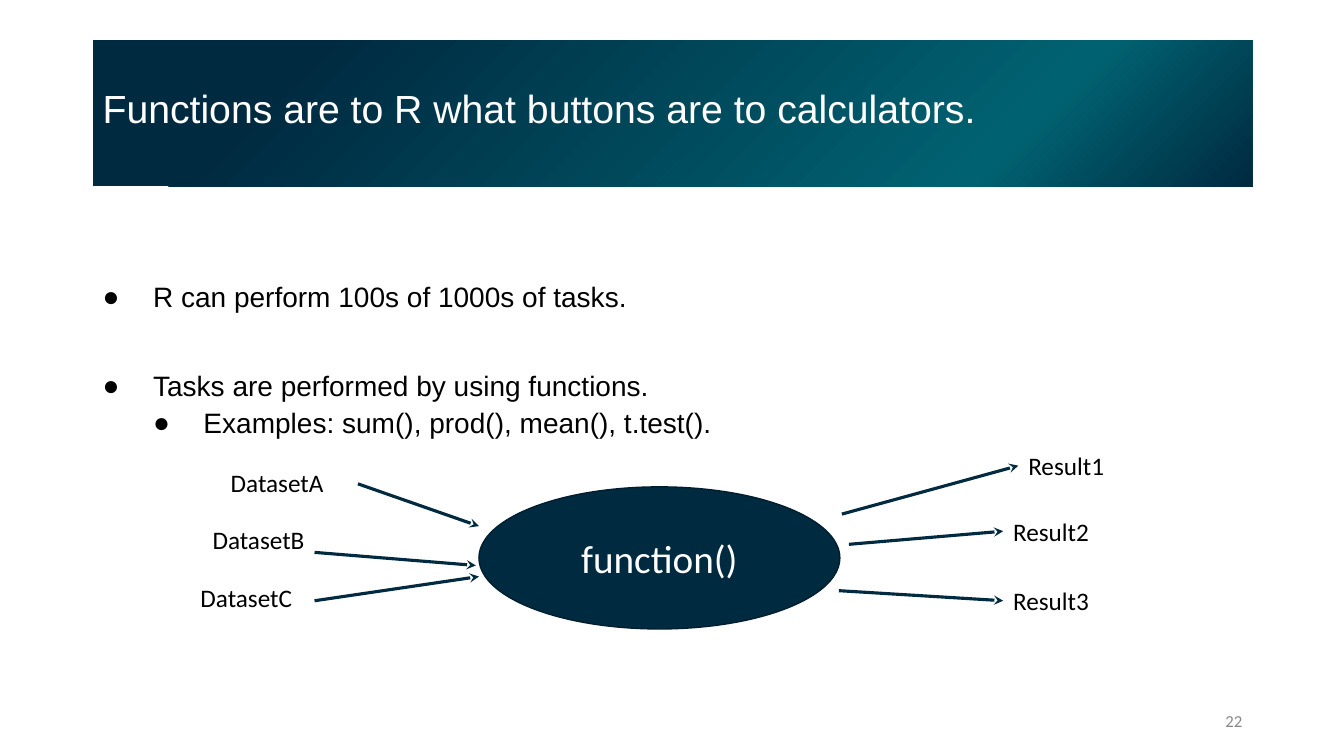
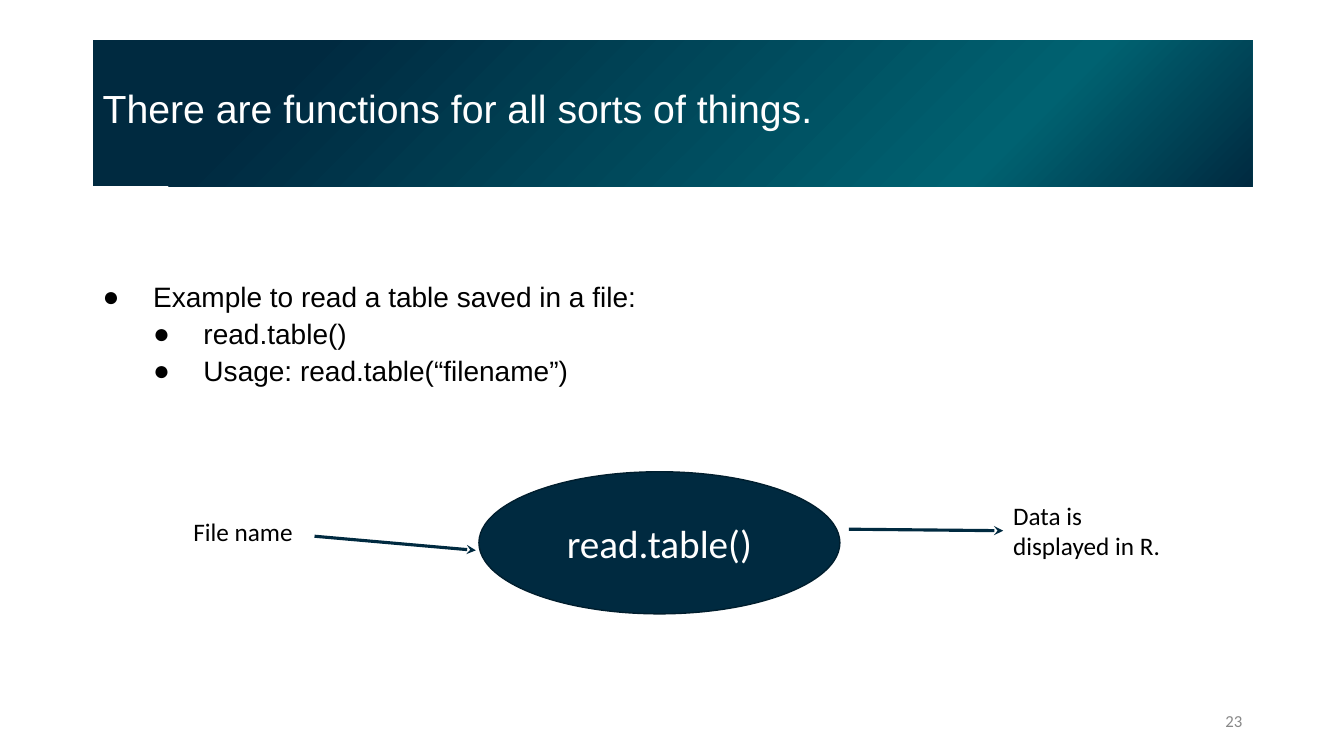
from lxml.etree import SubElement
from pptx import Presentation
from pptx.dml.color import RGBColor
from pptx.enum.shapes import MSO_CONNECTOR, MSO_SHAPE
from pptx.enum.text import MSO_ANCHOR, PP_ALIGN
from pptx.oxml import parse_xml
from pptx.oxml.ns import nsdecls, qn
from pptx.util import Inches, Pt

NAVY = RGBColor(0x00, 0x2A, 0x40)
TEAL = RGBColor(0x00, 0x62, 0x71)
OUTLINE = RGBColor(0x00, 0x1E, 0x2E)
WHITE = RGBColor(0xFF, 0xFF, 0xFF)
BLACK = RGBColor(0x00, 0x00, 0x00)
GREY = RGBColor(0x88, 0x88, 0x88)

MARGIN, BAND_WIDTH = 0.92, 11.5
BAND_STOPS = [(0, NAVY), (22, TEAL), (83, NAVY), (100, NAVY)]
LABEL_HEIGHT, LINE_HEIGHT = 0.4, 0.31
INPUT_WIDTH, OUTPUT_WIDTH = 1.66, 1.71
ELLIPSE_LEFT, ELLIPSE_WIDTH, ELLIPSE_HEIGHT = 4.75, 3.58, 1.41

# Bullets: level, space before in points, text.
# Inputs: text, left, top, arrow start, arrow end.
# Outputs: text, left, top, number of lines, arrow start (it ends at the label).
SLIDES = [
    {
        "number": 22,
        "title": "Functions are to R what buttons are to calculators.",
        "bullets": [
            (0, 0, "R can perform 100s of 1000s of tasks."),
            (0, 42, "Tasks are performed by using functions."),
            (1, 5, "Examples: sum(), prod(), mean(), t.test()."),
        ],
        "function": ("function()", 4.83),
        "inputs": [
            ("DatasetA", 2.19, 4.59, (3.55, 4.8), (4.75, 5.22)),
            ("DatasetB", 2.01, 5.15, (3.12, 5.48), (4.72, 5.61)),
            ("DatasetC", 1.89, 5.73, (3.12, 5.96), (4.75, 5.72)),
        ],
        "outputs": [
            ("Result1", 10.1, 4.42, 1, (8.35, 5.1)),
            ("Result2", 9.95, 5.07, 1, (8.42, 5.4)),
            ("Result3", 9.95, 5.76, 1, (8.32, 5.86)),
        ],
    },
    {
        "number": 23,
        "title": "There are functions for all sorts of things.",
        "bullets": [
            (0, 0, "Example to read a table saved in a file:"),
            (1, 5, "read.table()"),
            (1, 5, "Usage: read.table(“filename”)"),
        ],
        "function": ("read.table()", 4.68),
        "inputs": [("File name", 1.82, 5.07, (3.12, 5.32), (4.72, 5.46))],
        "outputs": [("Data is displayed in R.", 9.95, 4.91, 2, (8.42, 5.25))],
    },
]


def set_font(para, size, color, name="Calibri"):
    para.font.size = Pt(size)
    para.font.name = name
    para.font.color.rgb = color


def add_text(page, text, area, size=18, color=BLACK):
    box = page.shapes.add_textbox(*map(Inches, area))
    box.text_frame.word_wrap = True
    para = box.text_frame.paragraphs[0]
    para.text = text
    set_font(para, size, color)
    return box


def add_filled_shape(page, preset, text, area, font_name, align):
    shape = page.shapes.add_shape(preset, *map(Inches, area))
    shape.shadow.inherit = False
    shape.fill.solid()
    shape.fill.fore_color.rgb = NAVY
    frame = shape.text_frame
    frame.word_wrap = True
    frame.vertical_anchor = MSO_ANCHOR.MIDDLE
    para = frame.paragraphs[0]
    para.text = text
    para.alignment = align
    set_font(para, 28, WHITE, font_name)
    return shape


def add_title(page, text):
    band = add_filled_shape(page, MSO_SHAPE.RECTANGLE, text,
                            (MARGIN, 0.4, BAND_WIDTH, 1.45), "Arial", PP_ALIGN.LEFT)
    band.line.fill.background()
    band.text_frame.margin_top = 0
    band.text_frame.paragraphs[0].line_spacing = 0.9
    stops = "".join(f'<a:gs pos="{share * 1000}"><a:srgbClr val="{color}"/></a:gs>'
                    for share, color in BAND_STOPS)
    gradient = parse_xml(
        f'<a:gradFill {nsdecls("a")} rotWithShape="1"><a:gsLst>{stops}</a:gsLst>'
        '<a:path path="circle"><a:fillToRect l="100000" t="100000"/></a:path>'
        '<a:tileRect r="-100000" b="-100000"/></a:gradFill>')
    properties = band._element.spPr
    properties.replace(properties.find(qn("a:solidFill")), gradient)


def add_bullets(page, bullets):
    frame = page.shapes.add_textbox(*map(Inches, (MARGIN, 2.61, 11.76, 2.13))).text_frame
    frame.word_wrap = True
    frame.margin_top, frame.margin_right = Inches(0.2), 0
    for index, (level, space, text) in enumerate(bullets):
        para = frame.add_paragraph() if index else frame.paragraphs[0]
        para.text = text
        para.level = level
        para.line_spacing = 0.9
        if space:
            para.space_before = Pt(space)
        properties = para._p.get_or_add_pPr()
        properties.set("marL", str(Inches(0.5 * (level + 1))))
        properties.set("indent", str(Inches(-0.5)))
        bullet_color = SubElement(properties, qn("a:buClr"))
        SubElement(bullet_color, qn("a:srgbClr"), val=str(BLACK))
        SubElement(properties, qn("a:buFont"), typeface="Arial")
        SubElement(properties, qn("a:buChar"), char="●")
        set_font(para, 20, BLACK, "Arial")


def add_arrow(page, start, end):
    arrow = page.shapes.add_connector(MSO_CONNECTOR.STRAIGHT, *map(Inches, start + end))
    arrow.line.color.rgb = NAVY
    arrow.line.width = Pt(2.25)
    SubElement(arrow.line._get_or_add_ln(), qn("a:tailEnd"), type="stealth")
    SubElement(arrow._element.spPr, qn("a:effectLst"))
    return arrow


def add_diagram(page, content):
    name, top = content["function"]
    ellipse = add_filled_shape(page, MSO_SHAPE.OVAL, name,
                               (ELLIPSE_LEFT, top, ELLIPSE_WIDTH, ELLIPSE_HEIGHT),
                               "Calibri", PP_ALIGN.CENTER)
    ellipse.line.color.rgb = OUTLINE
    ellipse.line.width = Pt(1)
    for text, left, top, start, end in content["inputs"]:
        add_text(page, text, (left, top, INPUT_WIDTH, LABEL_HEIGHT))
        add_arrow(page, start, end)
    for text, left, top, lines, start in content["outputs"]:
        height = LABEL_HEIGHT + (lines - 1) * LINE_HEIGHT
        label = add_text(page, text, (left, top, OUTPUT_WIDTH, height))
        arrow = add_arrow(page, start, (left, top + height / 2))
        arrow.end_connect(label, 1)


def add_page_number(page, number):
    box = add_text(page, str(number), (MARGIN + BAND_WIDTH - 3, 6.95, 3, 0.4), 12, GREY)
    box.text_frame.vertical_anchor = MSO_ANCHOR.MIDDLE
    box.text_frame.paragraphs[0].alignment = PP_ALIGN.RIGHT


def main():
    deck = Presentation()
    deck.slide_width, deck.slide_height = Inches(13.33), Inches(7.5)
    for content in SLIDES:
        page = deck.slides.add_slide(deck.slide_layouts[6])
        add_title(page, content["title"])
        add_bullets(page, content["bullets"])
        add_diagram(page, content)
        add_page_number(page, content["number"])
    deck.save("out.pptx")


if __name__ == "__main__":
    main()
